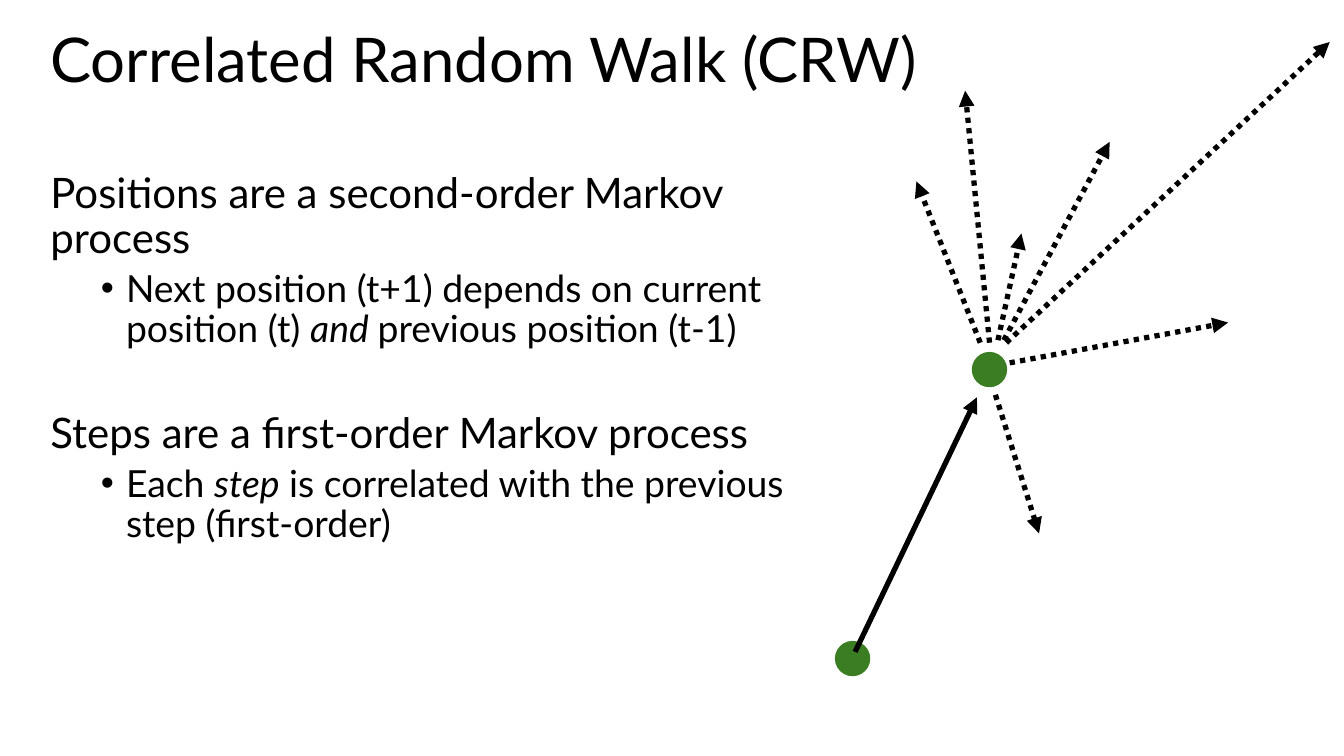
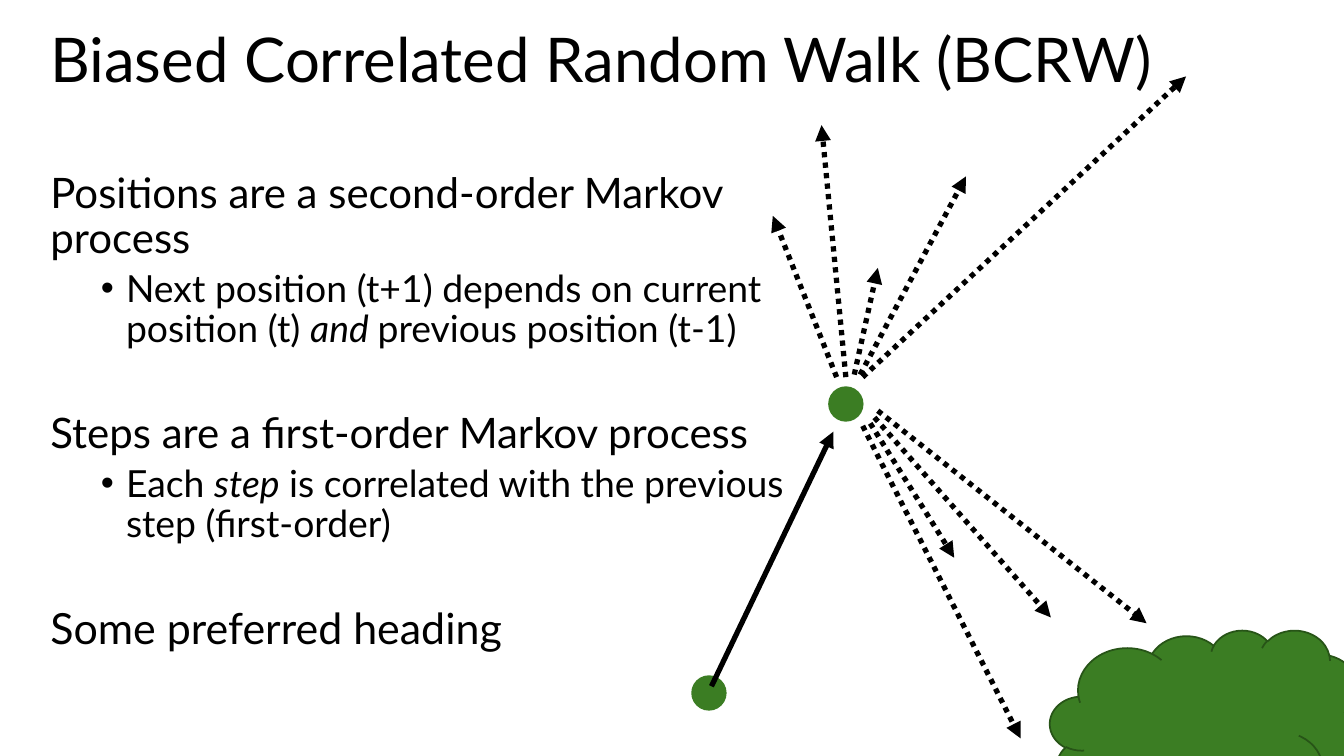
from lxml import etree
from pptx import Presentation
from pptx.dml.color import RGBColor
from pptx.enum.dml import MSO_LINE
from pptx.enum.shapes import MSO_CONNECTOR, MSO_SHAPE
from pptx.enum.text import MSO_ANCHOR, MSO_AUTO_SIZE, PP_ALIGN
from pptx.oxml.ns import qn
from pptx.util import Inches, Pt

BLACK = RGBColor(0x00, 0x00, 0x00)
GREEN = RGBColor(0x3B, 0x7D, 0x23)
DARK_GREEN = RGBColor(0x27, 0x54, 0x17)
FONT = "Lato"
OVAL, CLOUD = MSO_SHAPE.OVAL, MSO_SHAPE.CLOUD
STRAIGHT = MSO_CONNECTOR.STRAIGHT
DOTTED = MSO_LINE.ROUND_DOT
LEFT, TOP, MIDDLE = PP_ALIGN.LEFT, MSO_ANCHOR.TOP, MSO_ANCHOR.MIDDLE
NO_AUTOFIT = MSO_AUTO_SIZE.NONE
DOT = 0.4

# level, size, space before, text with *italics*
BODY = [
    (0, 36, 0, "Positions are a second-order Markov process"),
    (1, 32, 6, "Next position (t+1) depends on current position (t) *and *previous position (t-1)"),
    (0, 36, 53, "Steps are a first-order Markov process"),
    (1, 32, 6, "Each *step* is correlated with the previous step (first-order)"),
]
PREVIOUS_DOT = (-1.63, 3.44)
LAST_STEP = (-1.4, 3.56, 0.05, 0.53)
FORWARD_STEPS = [
    (0.37, -0.15, 1.63, -2.51),
    (0.4, -0.12, 4.25, -3.7),
    (0.09, -0.12, -0.67, -2.04),
    (0.2, -0.12, -0.09, -3.12),
    (0.3, -0.15, 0.58, -1.42),
]
SLIDES = [
    ("Correlated Random Walk (CRW)", BODY, (11.58, 4.2),
     [(0.27, 0.5, 0.79, 2.15), (0.44, 0.12, 3.04, -0.36)]),
    ("Biased Correlated Random Walk (BCRW)",
     BODY + [(0, 36.8, 53, "Some preferred heading")], (9.87, 4.61),
     [(0.49, 0.43, 1.49, 2.03), (0.58, 0.28, 3.78, 2.81),
      (0.54, 0.36, 2.64, 2.74), (0.4, 0.46, 2.28, 4.18)]),
]


def add_shape(slide, kind, x, y, w, h, line_color):
    sp = slide.shapes.add_shape(kind, Inches(x), Inches(y), Inches(w), Inches(h))
    sp.shadow.inherit = False
    sp.fill.solid()
    sp.fill.fore_color.rgb = GREEN
    sp.line.color.rgb = line_color
    sp.line.width = Pt(1.5)


def write_paragraph(p, text, size, before):
    p.alignment = LEFT
    p.line_spacing = 0.9
    p.space_before = Pt(before)
    for i, part in enumerate(text.split("*")):
        r = p.add_run()
        r.text = part
        r.font.name = FONT
        r.font.size = Pt(size)
        r.font.color.rgb = BLACK
        if i % 2:
            r.font.italic = True


prs = Presentation()
prs.slide_width, prs.slide_height = Inches(16), Inches(9)

for title_text, body_text, (x, y), extra_steps in SLIDES:
    slide = prs.slides.add_slide(prs.slide_layouts[1])
    title, body = slide.placeholders
    for sp, w, top, h, anchor in ((title, 15, 0, 1.5, MIDDLE), (body, 8.99, 2, 6, TOP)):
        sp.left, sp.top, sp.width, sp.height = Inches(0.5), Inches(top), Inches(w), Inches(h)
        tf = sp.text_frame
        tf.word_wrap = True
        tf.auto_size = NO_AUTOFIT
        tf.vertical_anchor = anchor
    write_paragraph(title.text_frame.paragraphs[0], title_text, 52.8, 0)

    tf = body.text_frame
    for i, (level, size, before, text) in enumerate(body_text):
        p = tf.add_paragraph() if i else tf.paragraphs[0]
        p.level = level
        pPr = p._p.get_or_add_pPr()
        pPr.set("marL", str(Inches(0.9 * level)))
        pPr.set("indent", str(Inches(-0.3 * level)))
        if level:
            etree.SubElement(pPr, qn("a:buFont")).set("typeface", "Arial")
            etree.SubElement(pPr, qn("a:buChar")).set("char", "•")
        else:
            etree.SubElement(pPr, qn("a:buNone"))
        write_paragraph(p, text, size, before)

    for dx, dy in ((0, 0), PREVIOUS_DOT):
        add_shape(slide, OVAL, x + dx, y + dy, DOT, DOT, GREEN)

    for step in FORWARD_STEPS + extra_steps + [LAST_STEP]:
        x1, y1, x2, y2 = step
        arrow = slide.shapes.add_connector(
            STRAIGHT, Inches(x + x1), Inches(y + y1), Inches(x + x2), Inches(y + y2))
        arrow.line.color.rgb = BLACK
        arrow.line.width = Pt(4.5)
        if step != LAST_STEP:
            arrow.line.dash_style = DOTTED
        ln = arrow.line._get_or_add_ln()
        etree.SubElement(ln, qn("a:tailEnd")).set("type", "triangle")
        etree.SubElement(arrow._element.spPr, qn("a:effectLst"))

add_shape(slide, CLOUD, 12.5, 7.5, 3.75, 2.37, DARK_GREEN)

prs.save("out.pptx")
